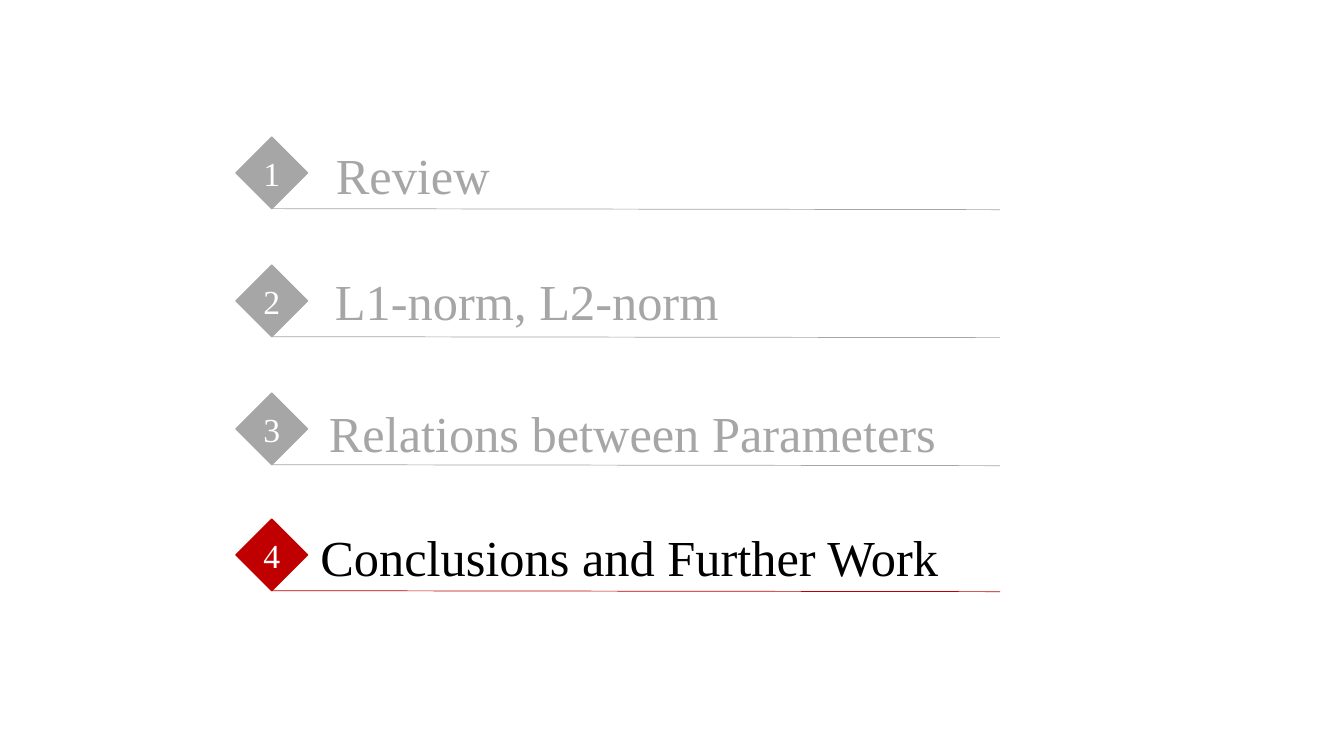
from dataclasses import dataclass

from lxml.etree import SubElement
from pptx import Presentation
from pptx.dml.color import RGBColor
from pptx.enum.shapes import MSO_CONNECTOR, MSO_SHAPE
from pptx.enum.text import MSO_ANCHOR, PP_ALIGN
from pptx.oxml.ns import qn
from pptx.util import Inches, Pt


@dataclass(frozen=True)
class Theme:
    """Colours, font and type sizes of the agenda."""
    muted: RGBColor = RGBColor(0xA6, 0xA6, 0xA6)
    accent: RGBColor = RGBColor(0xC0, 0x00, 0x00)
    dark: RGBColor = RGBColor(0x00, 0x00, 0x00)
    light: RGBColor = RGBColor(0xFF, 0xFF, 0xFF)
    font: str = "Times New Roman"
    title_size: int = 36
    number_size: int = 24


class AgendaSlide:
    """Draws numbered agenda entries on one slide in one theme."""

    def __init__(self, s, theme):
        self.s = s
        self.theme = theme

    def set_text(self, sp, text, size, color, anchor, spacing, inset):
        tf = sp.text_frame
        frame = {"word_wrap": True, "vertical_anchor": anchor,
                 "margin_left": inset, "margin_right": inset}
        p = tf.paragraphs[0]
        r = p.add_run()
        r.text = text
        formats = (
            (tf, frame),
            (p, {"alignment": PP_ALIGN.CENTER, "line_spacing": spacing}),
            (r.font, {"name": self.theme.font, "size": Pt(size)}),
        )
        for target, values in formats:
            for name, value in values.items():
                setattr(target, name, value)
        r.font.color.rgb = color

    def diamond(self, number, left, top, size, color):
        sp = self.s.shapes.add_shape(
            MSO_SHAPE.DIAMOND, Inches(left), Inches(top), Inches(size), Inches(size))
        sp.shadow.inherit = False
        sp.fill.solid()
        sp.fill.fore_color.rgb = color
        sp.line.color.rgb = color
        sp.line.width = Pt(1)
        self.set_text(sp, str(number), self.theme.number_size, self.theme.light,
                      MSO_ANCHOR.MIDDLE, 1.0, Inches(0))
        return sp

    def rule(self, marker, right, bottom, color):
        line = self.s.shapes.add_connector(
            MSO_CONNECTOR.STRAIGHT, marker.left, marker.top, Inches(right), Inches(bottom))
        line.begin_connect(marker, 2)
        line.line.color.rgb = color
        line.line.width = Pt(0.5)
        SubElement(line._element.spPr, qn("a:effectLst"))

    def title(self, text, left, top, width, color):
        sp = self.s.shapes.add_textbox(
            Inches(left), Inches(top), Inches(width), Inches(0.6))
        self.set_text(sp, text, self.theme.title_size, color,
                      MSO_ANCHOR.BOTTOM, 0.9, Inches(0.1))


def main():
    theme = Theme()
    prs = Presentation()
    prs.slide_width, prs.slide_height = Inches(13.33), Inches(7.5)
    agenda = AgendaSlide(prs.slides.add_slide(prs.slide_layouts[6]), theme)
    entries = (
        ("Review", 1.36, 1.71, 1.49, 4.77),
        ("L1-norm, L2-norm", 2.63, 2.84, 2.74, 4.77),
        ("Relations between Parameters", 3.9, 2.14, 4.05, 8.27),
        ("Conclusions and Further Work ", 5.15, 2.17, 5.28, 8.27),
    )
    current = len(entries)
    for number, (text, marker_top, left, top, width) in enumerate(entries, 1):
        active = number == current
        color = theme.accent if active else theme.muted
        marker = agenda.diamond(number, 2.34, marker_top, 0.71, color)
        agenda.rule(marker, 9.92, marker_top + 0.72, color)
        agenda.title(text, left, top, width, theme.dark if active else theme.muted)
    prs.save("out.pptx")


if __name__ == "__main__":
    main()
